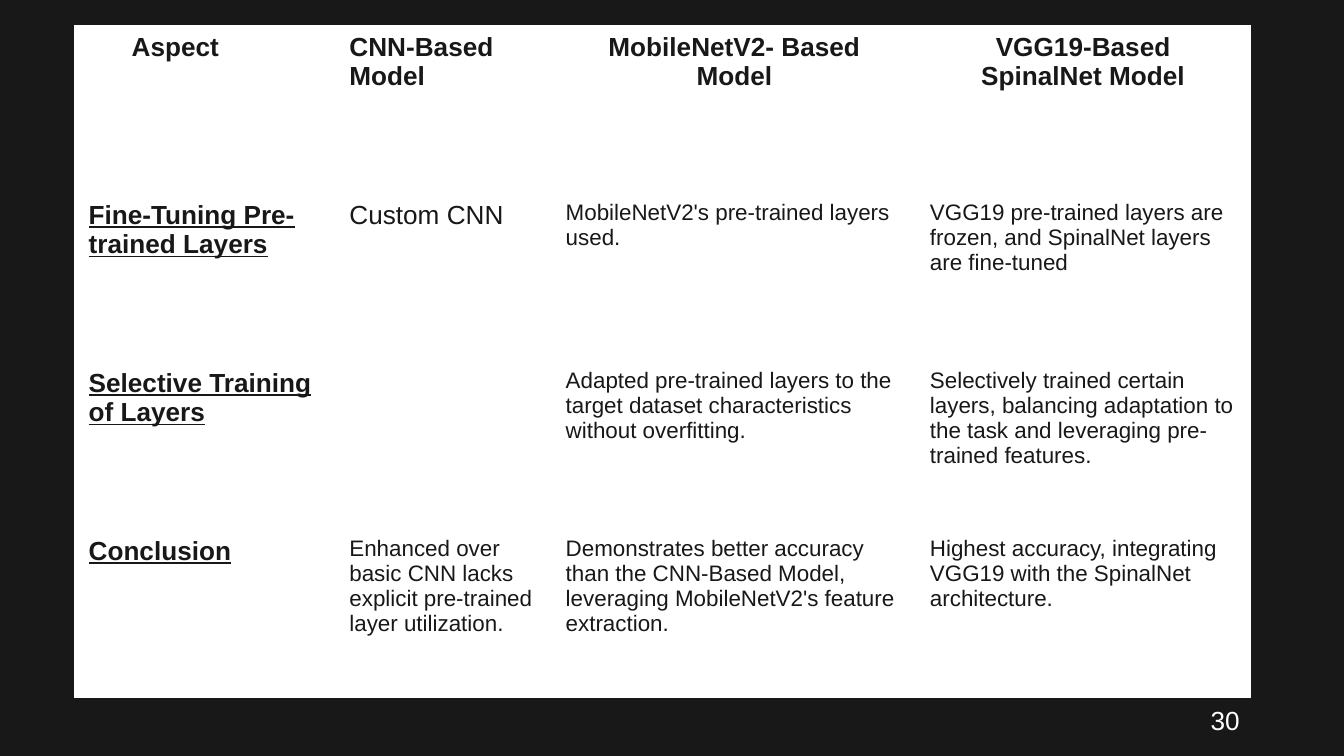
from lxml.etree import SubElement
from pptx import Presentation
from pptx.dml.color import RGBColor
from pptx.enum.text import PP_ALIGN as Align
from pptx.oxml.ns import qn
from pptx.util import Inches, Pt

COLORS = {"dark": "181818", "white": "FFFFFF"}

# Content
HEADERS = ["Aspect", "CNN-Based Model", "MobileNetV2- Based Model",
           "VGG19-Based SpinalNet Model"]
ROWS = [
    ["Fine-Tuning Pre-trained Layers",
     "Custom CNN",
     "MobileNetV2's pre-trained layers used.",
     "VGG19 pre-trained layers are frozen, and SpinalNet layers are fine-tuned"],
    ["Selective Training of Layers",
     "",
     "Adapted pre-trained layers to the target dataset characteristics "
     "without overfitting.",
     "Selectively trained certain layers, balancing adaptation to the task "
     "and leveraging pre-trained features."],
    ["Conclusion",
     "Enhanced over basic CNN lacks explicit pre-trained layer utilization.",
     "Demonstrates better accuracy than the CNN-Based Model, leveraging "
     "MobileNetV2's feature extraction.",
     "Highest accuracy, integrating VGG19 with the SpinalNet architecture."],
]
PAGE = "30"

# Layout and formats
COL_WIDTHS = [1.94, 1.61, 2.71, 2.48]
ROW_HEIGHT = 1.25
HEADER = {"size": Pt(14), "bold": True}
LABEL = {"size": Pt(14), "bold": True, "underline": True}
LARGE = {"size": Pt(14)}
BODY = {"size": Pt(12)}


def rgb(name):
    return RGBColor.from_string(COLORS[name])


def write(p, text, color, fmt):
    r = p.add_run()
    r.text = text
    r.font.name = "Arial"
    r.font.color.rgb = rgb(color)
    for key, value in fmt.items():
        setattr(r.font, key, value)


def add_borders(cell, color):
    """Put 1 pt lines ahead of the fill, as the schema orders them."""
    tcPr = cell._tc.get_or_add_tcPr()
    for i, side in enumerate(("lnL", "lnR", "lnT", "lnB")):
        ln = SubElement(tcPr, qn(f"a:{side}"), w=str(Pt(1)))
        fill = SubElement(ln, qn("a:solidFill"))
        SubElement(fill, qn("a:srgbClr"), val=COLORS[color])
        tcPr.insert(i, ln)


def cell_format(row, col, text):
    if row == 0:
        return HEADER
    if col == 0:
        return LABEL
    return LARGE if text == "Custom CNN" else BODY


# 16:9 slide
prs = Presentation()
prs.slide_width = Inches(10)
prs.slide_height = prs.slide_width * 9 // 16
s = prs.slides.add_slide(prs.slide_layouts[6])
s.background.fill.solid()
s.background.fill.fore_color.rgb = rgb("dark")

# Comparison table
data = [HEADERS] + ROWS
table = s.shapes.add_table(
    len(data), len(HEADERS), Inches(0.56), Inches(0.19),
    Inches(sum(COL_WIDTHS)), Inches(ROW_HEIGHT * len(data))).table
table.first_row = table.horz_banding = False
for column, width in zip(table.columns, COL_WIDTHS):
    column.width = Inches(width)

for i, row in enumerate(data):
    table.rows[i].height = Inches(ROW_HEIGHT)
    for j, text in enumerate(row):
        cell = table.cell(i, j)
        cell.fill.solid()
        cell.fill.fore_color.rgb = rgb("white")
        add_borders(cell, "white")
        p = cell.text_frame.paragraphs[0]
        if i == 0 and j >= 2:
            # Wider margins wrap the centred headers onto two lines
            p.alignment = Align.CENTER
            cell.margin_left = cell.margin_right = Inches(0.2)
        if text:
            write(p, text, "dark", cell_format(i, j, text))
table.cell(0, 0).margin_left = Inches(0.42)

# The two-line header of the last column breaks after its first word
table.cell(0, 3).margin_left = table.cell(0, 3).margin_right = Inches(0.3)

# Page number
tf = s.shapes.add_textbox(
    Inches(8.91), Inches(5.19), Inches(0.89), Inches(0.34)).text_frame
tf.word_wrap = True
write(tf.paragraphs[0], PAGE, "white", LARGE)

prs.save("out.pptx")
